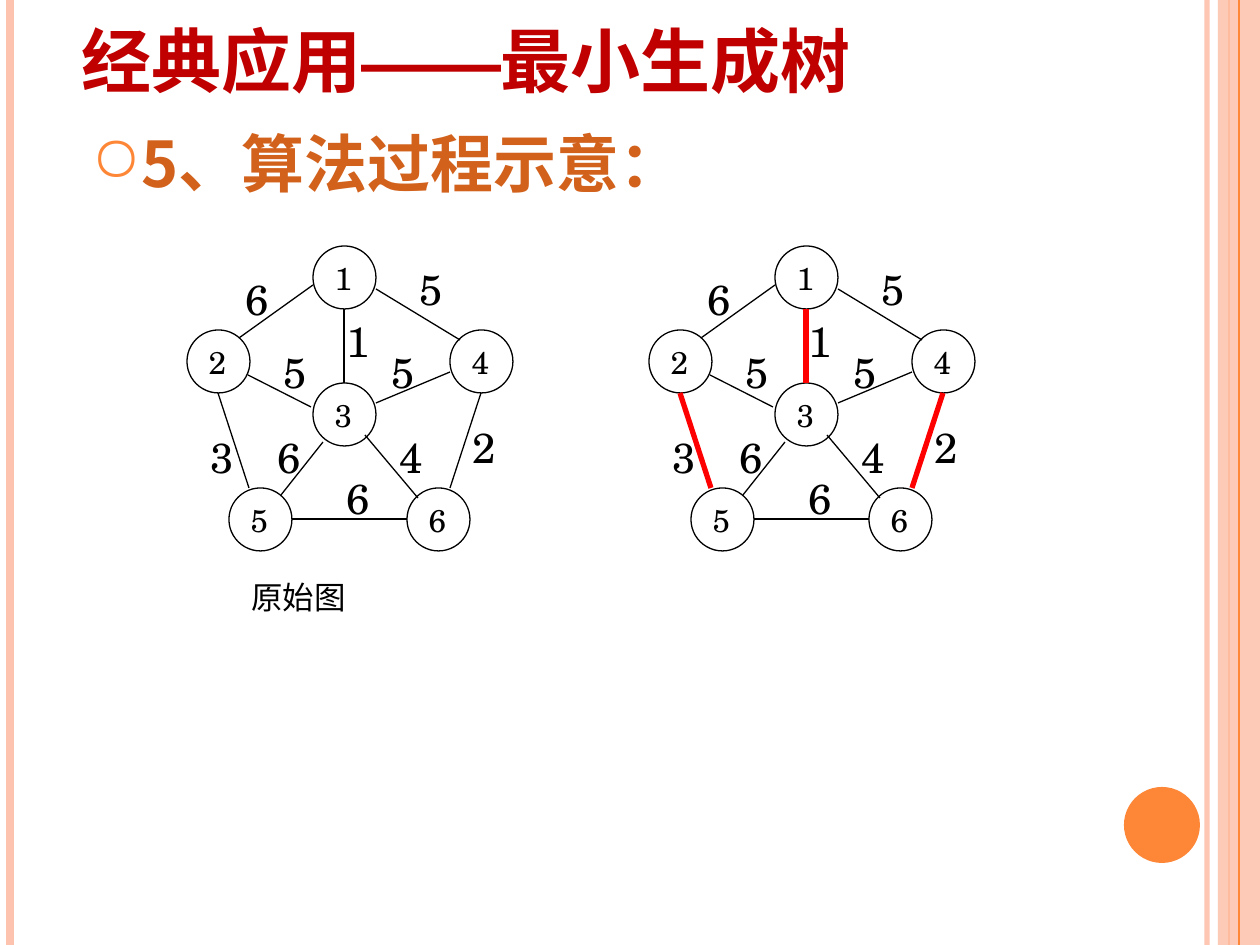
import pptx
import pptx.dml.color
import pptx.enum.shapes
import pptx.enum.text
import pptx.oxml.ns
import pptx.util
from lxml import etree

SCALE = 914400 / 126
COLORS = {
    "black": "000000", "title": "C00000", "heading": "D2611C",
    "orange": "FE8637", "peach": "FEC3AE", "tree": "FF0000",
}
SERIF, SANS = "TeX Gyre Schola", "Noto Sans CJK SC"
SHAPE = pptx.enum.shapes.MSO_SHAPE
ANCHOR = pptx.enum.text.MSO_ANCHOR
LEFT = pptx.enum.text.PP_ALIGN.LEFT

NODE_SIZE = 63
NODES = {"1": (313, 246), "2": (187, 330), "3": (313, 383),
         "4": (450, 330), "5": (229, 488), "6": (407, 488)}
# Nodes joined: line from, line to, weight, top left of the weight label
EDGES = {
    "12": ((239, 338), (313, 285), "6", (233, 267)),
    "35": ((281, 495), (323, 442), "6", (265, 425)),
    "34": ((376, 403), (450, 372), "5", (379, 340)),
    "23": ((248, 375), (311, 407), "5", (271, 340)),
    "14": ((376, 289), (460, 340), "5", (407, 257)),
    "46": ((450, 488), (481, 393), "2", (460, 415)),
    "25": ((249, 488), (218, 393), "3", (198, 425)),
    "56": ((292, 519), (407, 519), "6", (334, 466)),
    "13": ((344, 383), (344, 309), "1", (334, 309)),
    "36": ((365, 435), (418, 498), "4", (387, 425)),
}


def px(n):
    return pptx.util.Emu(round(n * SCALE))


def rgb(color):
    return pptx.dml.color.RGBColor.from_string(COLORS[color])


def add_xml(parent, tag, **attributes):
    return etree.SubElement(parent, pptx.oxml.ns.qn(tag), attributes)


def set_alpha(shape, percent):
    """Make the solid colour of a shape's fill or line partly transparent."""
    for color in shape._element.spPr.iter(pptx.oxml.ns.qn("a:srgbClr")):
        add_xml(color, "a:alpha", val=str(percent * 1000))


def add_run(p, text, size, color="black", font=SERIF, east_asian=SANS, bold=False):
    r = p.add_run()
    r.text = text
    values = {"size": pptx.util.Pt(size), "name": font, "bold": bold}
    for name, value in values.items():
        setattr(r.font, name, value)
    r.font.color.rgb = rgb(color)
    add_xml(r._r.get_or_add_rPr(), "a:ea", typeface=east_asian)


def add_text_box(shapes, left, top, width, height, anchor=ANCHOR.TOP):
    """Return the first paragraph of a new wrapping text box."""
    tf = shapes.add_textbox(px(left), px(top), px(width), px(height)).text_frame
    tf.word_wrap = True
    tf.vertical_anchor = anchor
    return tf.paragraphs[0]


def add_line(shapes, start, end, color="black", width=0.75):
    s = shapes.add_connector(pptx.enum.shapes.MSO_CONNECTOR.STRAIGHT,
                             *map(px, (*start, *end)))
    s.line.color.rgb = rgb(color)
    s.line.width = pptx.util.Pt(width)
    add_xml(s._element.spPr, "a:effectLst")
    return s


def add_filled(shapes, kind, left, top, width, height, color):
    s = shapes.add_shape(kind, px(left), px(top), px(width), px(height))
    s.shadow.inherit = False
    s.fill.solid()
    s.fill.fore_color.rgb = rgb(color)
    s.line.fill.background()
    return s


def add_node(shapes, name, left, top):
    s = shapes.add_shape(SHAPE.OVAL, px(left), px(top), px(NODE_SIZE), px(NODE_SIZE))
    s.shadow.inherit = False
    s.fill.background()
    s.line.color.rgb = rgb("black")
    s.line.width = pptx.util.Pt(0.75)
    tf = s.text_frame
    tf.word_wrap = False
    tf.vertical_anchor = ANCHOR.MIDDLE
    p = tf.paragraphs[0]
    p.alignment = LEFT
    add_run(p, name, 18)


def add_graph(slide, dx, tree=()):
    """Draw the weighted graph moved right by dx, with the tree edges marked."""
    shapes = slide.shapes.add_group_shape().shapes
    for name, (x, y) in NODES.items():
        add_node(shapes, name, x + dx, y)
    for name, ((x1, y1), (x2, y2), _, _) in EDGES.items():
        style = ("tree", 3) if name in tree else ("black", 0.75)
        add_line(shapes, (x1 + dx, y1), (x2 + dx, y2), *style)
    for _, _, weight, (x, y) in EDGES.values():
        add_run(add_text_box(shapes, x + dx, y, 42, 63), weight, 24)


def add_frame(slide):
    shapes = slide.shapes
    set_alpha(add_line(shapes, (1207, 0), (1207, 945), "peach", 3), 93)
    add_line(shapes, (10, 0), (10, 945), "peach", 4.5)
    add_line(shapes, (1229, 0), (1229, 945), "orange", 1.5)
    set_alpha(add_filled(shapes, SHAPE.RECTANGLE, 1218, 0, 42, 945, "peach"), 87)
    add_line(shapes, (1239, 0), (1239, 945), "orange", 0.75)
    add_filled(shapes, SHAPE.OVAL, 1124, 787, 76, 76, "orange")


def add_headings(slide):
    p = add_text_box(slide.shapes, 69, -49, 1029, 157, ANCHOR.BOTTOM)
    add_run(p, "经典应用", 40, "title", bold=True)
    add_run(p, "——", 40, "title", "Arial", "Arial", bold=True)
    add_run(p, "最小生成树", 40, "title", bold=True)

    p = add_text_box(slide.shapes, 79, 118, 819, 105)
    pPr = p._p.get_or_add_pPr()
    for name, value in {"marL": px(38), "indent": px(-38)}.items():
        pPr.set(name, str(value))
    add_xml(add_xml(pPr, "a:buClr"), "a:srgbClr", val=COLORS["orange"])
    add_xml(pPr, "a:buChar", char="○")
    add_run(p, "5、算法过程示意：", 36, "heading", SANS, bold=True)


def main():
    prs = pptx.Presentation()
    prs.slide_width, prs.slide_height = px(1260), px(945)
    slide = prs.slides.add_slide(prs.slide_layouts[6])
    add_frame(slide)
    add_headings(slide)
    add_graph(slide, 0)
    add_run(add_text_box(slide.shapes, 239, 572, 221, 50), "原始图", 18)
    add_graph(slide, 462, tree=("13", "25", "46"))
    prs.save("out.pptx")


if __name__ == "__main__":
    main()
